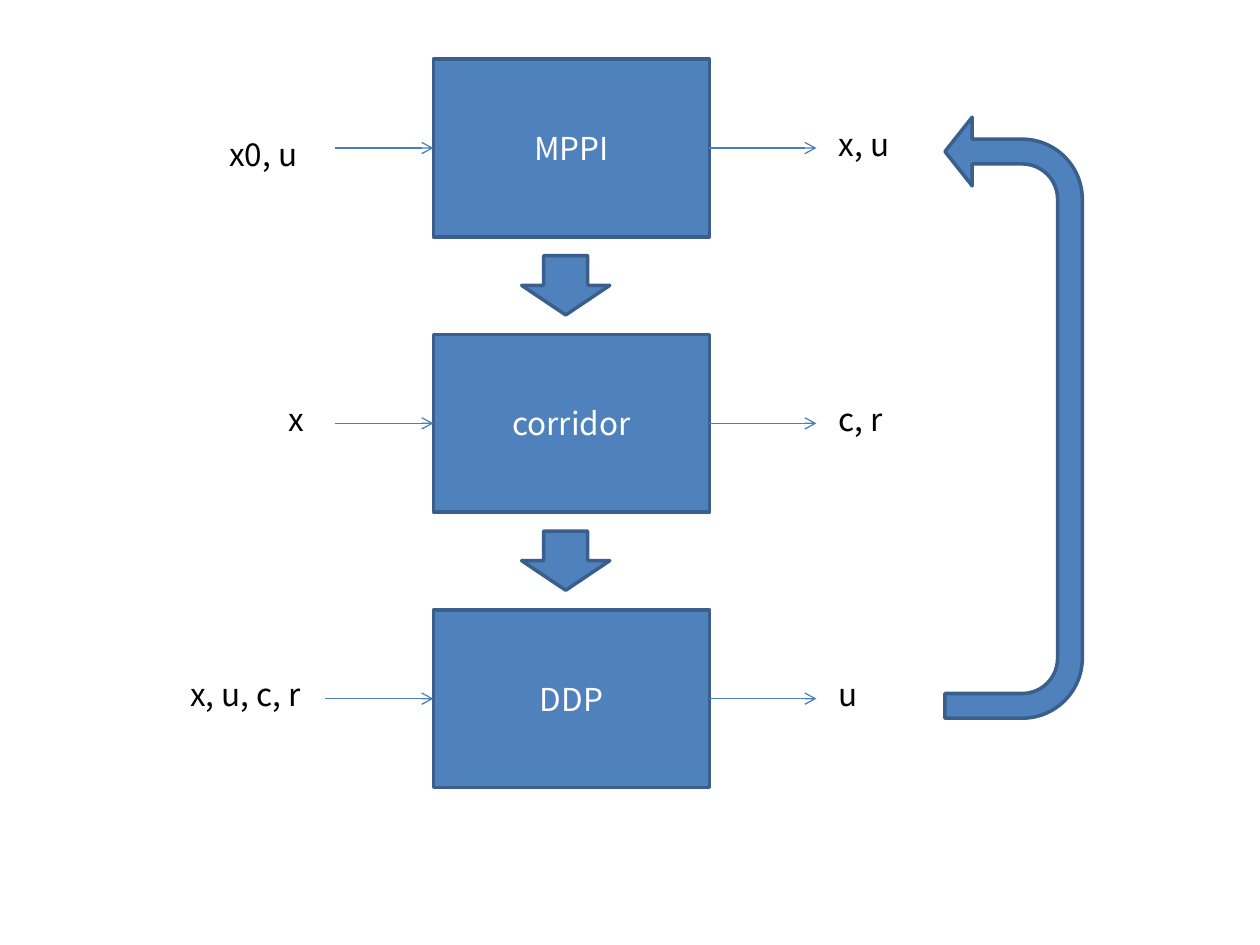
from lxml.etree import SubElement
from pptx import Presentation
from pptx.dml.color import RGBColor
from pptx.enum.shapes import MSO_CONNECTOR, MSO_SHAPE
from pptx.enum.text import MSO_ANCHOR, MSO_AUTO_SIZE, PP_ALIGN
from pptx.oxml.ns import qn
from pptx.util import Inches, Pt

FONT = "Noto Sans CJK KR"
FILL, OUTLINE, FLOW = "4F81BD", "3A5F8C", "4B7EBC"
STAGE_LEFT, STAGE_WIDTH, STAGE_HEIGHT = 3.44, 2.19, 1.41
FIRST_TOP, PITCH = 0.47, 2.185
LEFT_SITE, RIGHT_SITE = 1, 3

# name, input (text, left, width, drop below the usual height), input arrow start,
# output (text, width)
STAGES = [
    ("MPPI", ("x0, u", 1.72, 0.86, 0.08), 2.66, ("x, u", 0.86)),
    ("corridor", ("x", 2.19, 0.47, 0), 2.66, ("c, r", 1.41)),
    ("DDP", ("x, u, c, r", 1.41, 1.41, 0), 2.58, ("u", 1.41)),
]


def rgb(value):
    """Turn a hex string into a colour."""
    return RGBColor.from_string(value)


def write(frame, text, color):
    """Set one line of text in the diagram's font."""
    frame.text = text
    font = frame.paragraphs[0].runs[0].font
    font.size, font.name = Pt(18), FONT
    font.color.rgb = rgb(color)
    SubElement(font._element, qn("a:ea")).set("typeface", FONT)


def add_block(slide, kind, left, top, width, height):
    """Add a filled and outlined preset shape."""
    block = slide.shapes.add_shape(
        kind, Inches(left), Inches(top), Inches(width), Inches(height))
    block.shadow.inherit = False
    block.fill.solid()
    block.fill.fore_color.rgb = rgb(FILL)
    block.line.color.rgb = rgb(OUTLINE)
    block.line.width = Pt(2)
    return block


def add_label(slide, text, left, top, width):
    """Add a black signal label."""
    label = slide.shapes.add_textbox(
        Inches(left), Inches(top), Inches(width), Inches(0.4))
    label.text_frame.word_wrap = True
    label.text_frame.auto_size = MSO_AUTO_SIZE.SHAPE_TO_FIT_TEXT
    write(label.text_frame, text, "000000")


def add_flow(slide, start, end, y):
    """Add a thin horizontal arrow pointing right."""
    flow = slide.shapes.add_connector(
        MSO_CONNECTOR.STRAIGHT, Inches(start), Inches(y), Inches(end), Inches(y))
    flow.line.color.rgb = rgb(FLOW)
    flow.line.width = Pt(0.75)
    SubElement(flow.line._get_or_add_ln(), qn("a:tailEnd")).set("type", "arrow")
    SubElement(flow._element.spPr, qn("a:effectLst"))
    return flow


def add_stage(slide, top, name, source, flow_start, result):
    """Add a processing stage with its input and output."""
    stage = add_block(
        slide, MSO_SHAPE.RECTANGLE, STAGE_LEFT, top, STAGE_WIDTH, STAGE_HEIGHT)
    write(stage.text_frame, name, "FFFFFF")
    stage.text_frame.vertical_anchor = MSO_ANCHOR.MIDDLE
    stage.text_frame.paragraphs[0].alignment = PP_ALIGN.CENTER

    middle, right = top + STAGE_HEIGHT / 2, STAGE_LEFT + STAGE_WIDTH
    label_top = top + 0.47
    add_flow(slide, flow_start, STAGE_LEFT, middle).end_connect(stage, LEFT_SITE)
    add_flow(slide, right, right + 0.85, middle).begin_connect(stage, RIGHT_SITE)
    source_text, source_left, source_width, drop = source
    add_label(slide, source_text, source_left, label_top + drop, source_width)
    result_text, result_width = result
    add_label(slide, result_text, right + 0.93, label_top, result_width)


def add_feedback(slide, left, top, width, height):
    """Add the bent arrow leading from the last stage back to the first."""
    feedback = add_block(
        slide, MSO_SHAPE.U_TURN_ARROW,
        left + (width - height) / 2, top + (height - width) / 2, height, width)
    for index, value in enumerate((0.18, 0.25, 0.198, 0.438, 1)):
        feedback.adjustments[index] = value
    feedback.rotation = 90
    feedback._element.spPr.xfrm.set("flipH", "1")


def build_loop(slide):
    """Stack the stages, link them downwards and close the loop."""
    for index, stage in enumerate(STAGES):
        top = FIRST_TOP + index * PITCH
        add_stage(slide, top, *stage)
        if index < len(STAGES) - 1:
            add_block(slide, MSO_SHAPE.DOWN_ARROW,
                      STAGE_LEFT + 0.7, top + STAGE_HEIGHT + 0.15, 0.7, 0.47)
    add_feedback(slide, 7.5, 0.93, 1.09, 4.77)


presentation = Presentation()
presentation.slide_width, presentation.slide_height = Inches(10), Inches(7.5)
build_loop(presentation.slides.add_slide(presentation.slide_layouts[6]))
presentation.save("out.pptx")
